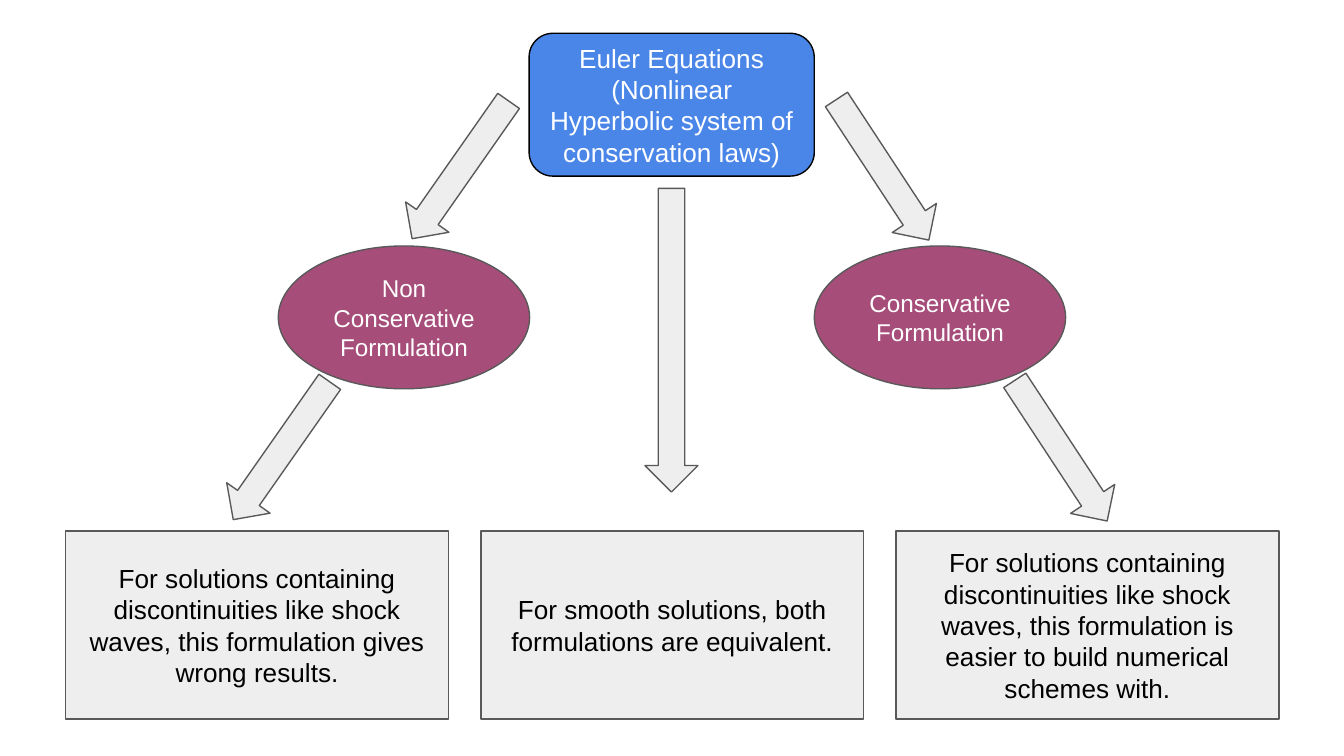
from pptx import Presentation
from pptx.dml.color import RGBColor
from pptx.enum import shapes, text
from pptx.util import Cm, Pt

COLORS = {
    "root": "4A86E8",
    "branch": "A64D79",
    "panel": "EEEEEE",
    "outline": "595959",
    "black": "000000",
    "white": "FFFFFF",
}
GEOM = shapes.MSO_SHAPE


def rgb(name):
    return RGBColor.from_string(COLORS[name])


def add_box(s, geom, box, fill, line="outline"):
    """Add a flat outlined shape; box is (left, top, width, height) in cm."""
    sp = s.shapes.add_shape(geom, *map(Cm, box))
    sp.shadow.inherit = False
    sp.fill.solid()
    sp.fill.fore_color.rgb = rgb(fill)
    sp.line.color.rgb = rgb(line)
    sp.line.width = Pt(0.75)
    return sp


def set_text(sp, words, size, color):
    tf = sp.text_frame
    tf.word_wrap = True
    tf.vertical_anchor = text.MSO_ANCHOR.MIDDLE
    tf.margin_left = tf.margin_right = tf.margin_top = tf.margin_bottom = Cm(0.25)
    p = tf.paragraphs[0]
    p.text = words
    p.alignment = text.PP_ALIGN.CENTER
    p.font.name = "Arial"
    p.font.size = Pt(size)
    p.font.color.rgb = rgb(color)


def add_root(s, box):
    sp = add_box(s, GEOM.ROUNDED_RECTANGLE, box, "root", "black")
    set_text(sp, "Euler Equations\v(Nonlinear Hyperbolic system of conservation laws)",
             14, "white")


def add_branches(s, box, width, names):
    """Place one ellipse at each end of the box."""
    left, top, total, height = box
    for x, name in zip((left, left + total - width), names):
        sp = add_box(s, GEOM.OVAL, (x, top, width, height), "branch")
        set_text(sp, name, 13, "white")


def add_conclusions(s, box, gap, notes):
    """Divide the box into equal columns, one for each note."""
    left, top, total, height = box
    width = (total - gap * (len(notes) - 1)) / len(notes)
    for i, note in enumerate(notes):
        sp = add_box(s, GEOM.FLOWCHART_PROCESS,
                     (left + i * (width + gap), top, width, height), "panel")
        set_text(sp, note, 14, "black")


def add_arrow(s, center, length, angle):
    """Add an up arrow turned clockwise about its center."""
    width = 1
    x, y = center
    sp = add_box(s, GEOM.UP_ARROW,
                 (x - width / 2, y - length / 2, width, length), "panel")
    sp.rotation = angle


def add_arrows(s):
    add_arrow(s, (12.69, 6.43), 5.74, 180)
    # Each level has a left and a right arrow
    for y, left, right in ((3.21, 8.7, 16.68), (8.52, 5.32, 20.05)):
        add_arrow(s, (left, y), 3.18, 215)
        add_arrow(s, (right, y), 3.18, 146.7)


def main():
    prs = Presentation()
    prs.slide_width, prs.slide_height = Cm(25.4), Cm(14.29)
    s = prs.slides.add_slide(prs.slide_layouts[6])

    # Starting equations
    add_root(s, (10, 0.63, 5.39, 2.7))

    # Two formulations
    add_branches(s, (5.26, 4.65, 14.88, 2.7), 4.75,
                 ("Non Conservative Formulation", "Conservative Formulation"))

    # What follows from each
    add_conclusions(s, (1.24, 10.04, 22.93, 3.55), 0.61, (
        "For solutions containing discontinuities like shock waves, "
        "this formulation gives wrong results.",
        "For smooth solutions, both formulations are equivalent.",
        "For solutions containing discontinuities like shock waves, "
        "this formulation is easier to build numerical schemes with.",
    ))

    # Links between the levels
    add_arrows(s)
    prs.save("out.pptx")


if __name__ == "__main__":
    main()
